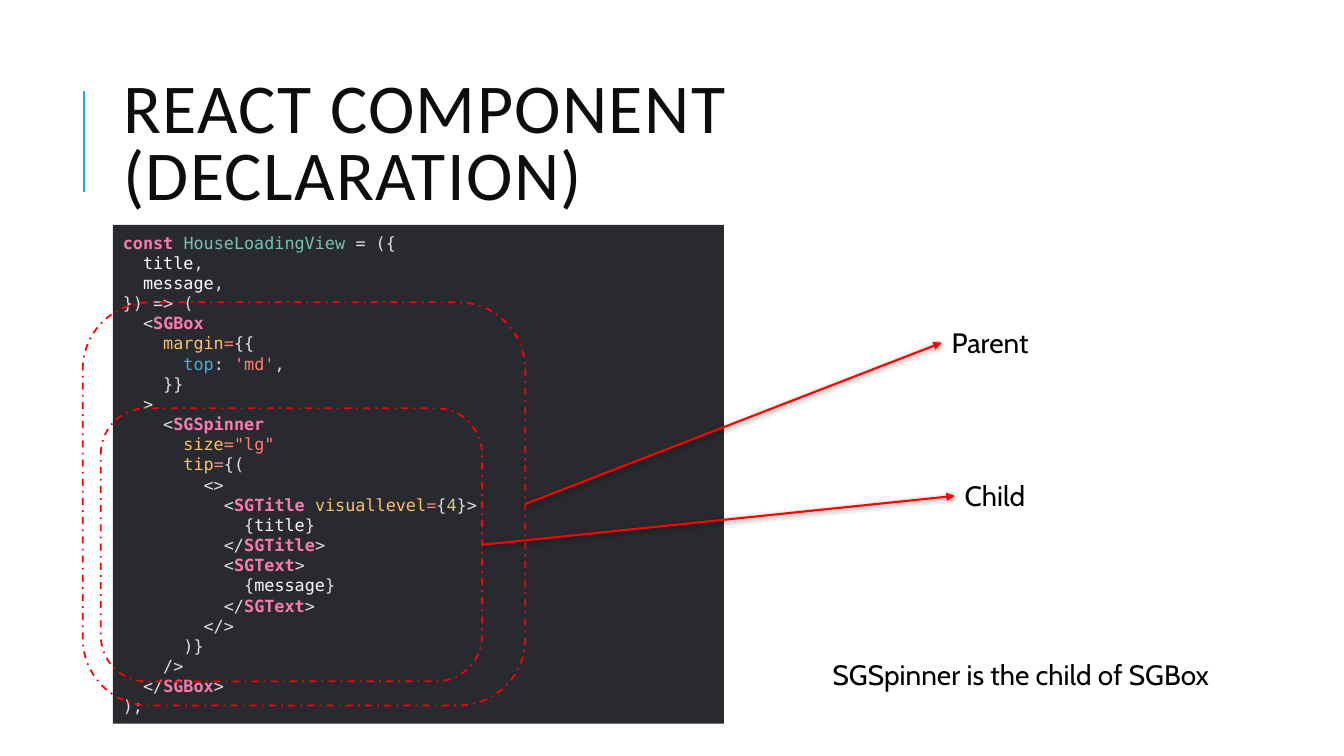
from lxml.etree import SubElement
from pptx import Presentation
from pptx.dml.color import RGBColor
from pptx.enum.dml import MSO_LINE
from pptx.enum.shapes import MSO_CONNECTOR, MSO_SHAPE
from pptx.enum.text import MSO_ANCHOR, MSO_AUTO_SIZE, PP_ALIGN
from pptx.oxml.ns import qn
from pptx.util import Inches, Pt

RED = "FF0000"
RIGHT_SIDE, LEFT_SIDE = 3, 1
PLAIN, TAG, NAME, VALUE = "DFDFE0", "F97BB0", "FCFCFC", "FF806C"
ATTRIBUTE, TYPE, KEY, NUMBER = "FFBF67", "75C2B3", "49B0CE", "D7C781"

# Each code line is a list of (colour, text) parts
CODE = [
    [(TAG, "const "), (TYPE, "HouseLoadingView "), (PLAIN, "= ({")],
    [(NAME, "  title"), (PLAIN, ",")],
    [(NAME, "  message"), (PLAIN, ",")],
    [(PLAIN, "}) => (")],
    [(PLAIN, "  <"), (TAG, "SGBox")],
    [(ATTRIBUTE, "    margin"), (VALUE, "="), (PLAIN, "{{")],
    [(KEY, "      top"), (PLAIN, ": "), (VALUE, "'md'"), (PLAIN, ",")],
    [(PLAIN, "    }}")],
    [(PLAIN, "  >")],
    [(PLAIN, "    <"), (TAG, "SGSpinner")],
    [(ATTRIBUTE, "      size"), (VALUE, '="lg"')],
    [(ATTRIBUTE, "      tip"), (VALUE, "="), (PLAIN, "{(")],
    [(PLAIN, "        <>")],
    [(PLAIN, "          <"), (TAG, "SGTitle "), (ATTRIBUTE, "visuallevel"),
     (VALUE, "="), (PLAIN, "{"), (NUMBER, "4"), (PLAIN, "}>")],
    [(PLAIN, "            {"), (NAME, "title"), (PLAIN, "}")],
    [(PLAIN, "          </"), (TAG, "SGTitle"), (PLAIN, ">")],
    [(PLAIN, "          <"), (TAG, "SGText"), (PLAIN, ">")],
    [(PLAIN, "            {"), (NAME, "message"), (PLAIN, "}")],
    [(PLAIN, "          </"), (TAG, "SGText"), (PLAIN, ">")],
    [(PLAIN, "        </>")],
    [(PLAIN, "      )}")],
    [(PLAIN, "    />")],
    [(PLAIN, "  </"), (TAG, "SGBox"), (PLAIN, ">")],
    [(PLAIN, ");")],
]


def colour(value):
    return RGBColor.from_string(value)


def apply(target, values):
    for name, value in values.items():
        setattr(target, name, value)


class SlideBuilder:
    """Holds the text styles and the slide being built."""

    title_font = {"name": "Calibri", "size": Pt(50), "bold": False}
    label_font = {"name": "Cabin", "size": Pt(20)}
    code_font = {"name": "DejaVu Sans Mono", "size": Pt(12)}

    def __init__(self, presentation):
        self.slide = presentation.slides.add_slide(presentation.slide_layouts[5])

    def run(self, paragraph, text, font, hex_colour):
        run = paragraph.add_run()
        run.text = text
        apply(run.font, font)
        run.font.color.rgb = colour(hex_colour)
        return run

    def title(self, text, *box):
        shape = self.slide.shapes.title
        apply(shape, dict(zip(("left", "top", "width", "height"), map(Inches, box))))
        apply(shape.text_frame, {"word_wrap": True, "vertical_anchor": MSO_ANCHOR.MIDDLE,
                                 "auto_size": MSO_AUTO_SIZE.NONE})
        paragraph = shape.text_frame.paragraphs[0]
        apply(paragraph, {"alignment": PP_ALIGN.LEFT, "line_spacing": 0.8, "space_before": Pt(0)})
        run = self.run(paragraph, text, self.title_font, "0D0D0D")
        run.font._element.set("spc", "100")

    def shape(self, kind, *box):
        shape = self.slide.shapes.add_shape(kind, *map(Inches, box))
        shape.shadow.inherit = False
        return shape

    def code(self, lines, *box):
        panel = self.shape(MSO_SHAPE.RECTANGLE, *box)
        panel.fill.solid()
        panel.fill.fore_color.rgb = colour("292A30")
        panel.line.fill.background()
        frame = panel.text_frame
        apply(frame, {"word_wrap": True, "vertical_anchor": MSO_ANCHOR.MIDDLE})
        for index, parts in enumerate(lines):
            paragraph = frame.add_paragraph() if index else frame.paragraphs[0]
            apply(paragraph, {"alignment": PP_ALIGN.LEFT, "line_spacing": Pt(14.4)})
            for hex_colour, text in parts:
                font = {**self.code_font, "bold": hex_colour == TAG}
                self.run(paragraph, text, font, hex_colour)

    def frame(self, *box):
        frame = self.shape(MSO_SHAPE.ROUNDED_RECTANGLE, *box)
        frame.fill.background()
        frame.line.color.rgb = colour(RED)
        apply(frame.line, {"width": Pt(1.25), "dash_style": MSO_LINE.DASH_DOT})
        return frame

    def label(self, text, *box):
        label = self.slide.shapes.add_textbox(*map(Inches, box))
        label.text_frame.word_wrap = True
        self.run(label.text_frame.paragraphs[0], text, self.label_font, "000000")
        return label

    def line(self, hex_colour, *ends):
        line = self.slide.shapes.add_connector(MSO_CONNECTOR.STRAIGHT, *map(Inches, ends))
        line.line.color.rgb = colour(hex_colour)
        line.line.width = Pt(1.5)
        effects = SubElement(line._element.spPr, qn("a:effectLst"))
        return line, effects

    def arrow(self, source, target):
        arrow, effects = self.line(RED, 0, 0, 1, 1)
        arrow.begin_connect(source, RIGHT_SIDE)
        arrow.end_connect(target, LEFT_SIDE)
        SubElement(arrow.line._get_or_add_ln(), qn("a:tailEnd"), type="triangle")
        shadow = SubElement(effects, qn("a:outerShdw"), blurRad=str(Pt(4)), dist=str(Pt(1)),
                            dir="5400000", rotWithShape="0")
        black = SubElement(shadow, qn("a:srgbClr"), val="000000")
        SubElement(black, qn("a:alpha"), val="50000")


def main():
    presentation = Presentation()
    apply(presentation, {"slide_width": Inches(13.33), "slide_height": Inches(7.5)})
    builder = SlideBuilder(presentation)

    # Title with accent line
    builder.line("1CADE4", 0.83, 1.9, 0.83, 0.9)
    builder.title("REACT COMPONENT (DECLARATION)", 1.12, 0.64, 10.63, 1.64)

    # Code panel with a frame around each component
    builder.code(CODE, 1.12, 2.23, 6.06, 4.95)
    parent_frame = builder.frame(0.82, 3, 4.39, 4)
    child_frame = builder.frame(1, 4.05, 3.78, 2.71)

    # Labels and the arrows that lead to them
    parent_label = builder.label("Parent", 9.34, 3.18, 1.8, 0.44)
    child_label = builder.label("Child", 9.47, 4.7, 1.8, 0.44)
    builder.arrow(parent_frame, parent_label)
    builder.arrow(child_frame, child_label)
    builder.label("SGSpinner is the child of SGBox", 8.16, 6.47, 4.16, 0.44)

    presentation.save("out.pptx")


if __name__ == "__main__":
    main()
